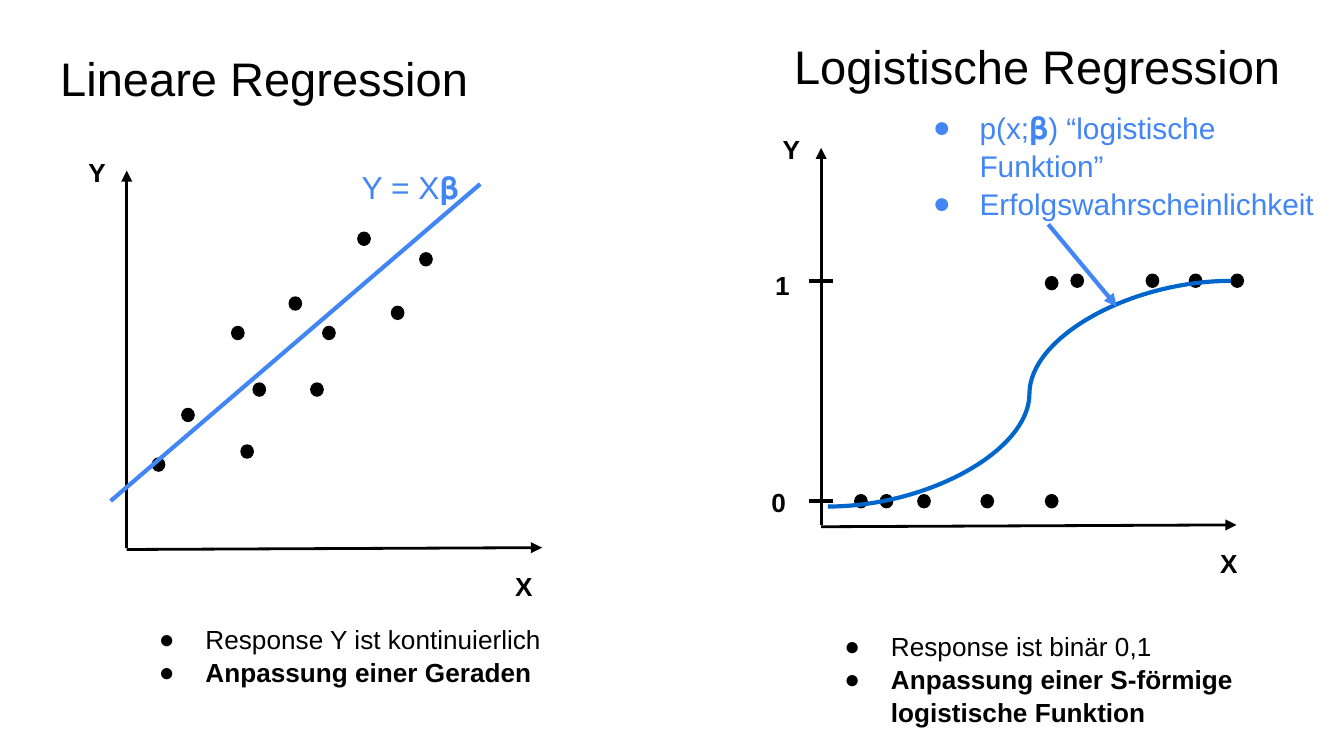
from lxml import etree
from pptx import Presentation
from pptx.dml.color import RGBColor
from pptx.enum.shapes import MSO_CONNECTOR, MSO_SHAPE
from pptx.enum.text import MSO_ANCHOR
from pptx.oxml.ns import qn
from pptx.util import Pt

STRAIGHT = MSO_CONNECTOR.STRAIGHT
CURVE = MSO_CONNECTOR.CURVE
DOT = MSO_SHAPE.FLOWCHART_CONNECTOR
BOTTOM = MSO_ANCHOR.BOTTOM

COLORS = {"ink": "000000", "accent": "4285F4", "curve": "0066CC"}
FONT = "Arial"
BETA = "𝛃"
LABEL_SIZE = (25.2, 31.7)
DOT_SIZE = (6.6, 7)
TICK_HALF = 6.5

LINEAR_POINTS = [
    (13.7, 154), (29.5, 127.4), (98.6, 113.8), (56.2, 83.5), (67.7, 113.8),
    (141.8, 72.7), (105, 83.5), (87, 67.7), (61.2, 147), (123.8, 33), (157, 44),
]
FAILURE_X = [18, 31.7, 51.8, 85.7, 120.2]
SUCCESS_POINTS = [(120.2, 69), (133.9, 67.7), (174.2, 67.7), (197.3, 67.7), (219.6, 67.7)]
FAILURE_Y = 185.8


def color(name):
    return RGBColor.from_string(COLORS[name])


def add_line(slide, start, end, ink="ink", width=1.5, arrow=False, kind=STRAIGHT):
    line = slide.shapes.add_connector(kind, *(Pt(v) for v in (*start, *end)))
    line.line.color.rgb = color(ink)
    line.line.width = Pt(width)
    if arrow:
        etree.SubElement(line.line._get_or_add_ln(), qn("a:tailEnd"), type="triangle")
    etree.SubElement(line._element.spPr, qn("a:effectLst"))


def add_bullet(paragraph, ink):
    props = paragraph._p.get_or_add_pPr()
    props.set("marL", str(Pt(36)))
    props.set("indent", str(-Pt(25)))
    bullet_color = etree.SubElement(props, qn("a:buClr"))
    etree.SubElement(bullet_color, qn("a:srgbClr"), val=COLORS[ink])
    etree.SubElement(props, qn("a:buFont"), typeface=FONT)
    etree.SubElement(props, qn("a:buChar"), char="●")


def add_text(slide, box, paragraphs, size, ink="ink", bullets=False, anchor=None):
    """Each paragraph is a list of (text, bold, size or None) runs."""
    frame = slide.shapes.add_textbox(*(Pt(v) for v in box)).text_frame
    frame.word_wrap = True
    frame.margin_left = frame.margin_right = Pt(7.2)
    frame.margin_top = frame.margin_bottom = Pt(7.2)
    if anchor is not None:
        frame.vertical_anchor = anchor
    for index, runs in enumerate(paragraphs):
        paragraph = frame.add_paragraph() if index else frame.paragraphs[0]
        if bullets:
            add_bullet(paragraph, ink)
        paragraph.line_spacing = 1.05
        for text, bold, run_size in runs:
            run = paragraph.add_run()
            run.text = text
            run.font.name = FONT
            run.font.size = Pt(run_size or size)
            run.font.bold = bold
            run.font.color.rgb = color(ink)


def add_title(slide, box, title):
    add_text(slide, box, [[(title, False, None)]], 25.2, anchor=BOTTOM)


def add_label(slide, left, top, label):
    add_text(slide, (left, top, *LABEL_SIZE), [[(label, True, None)]], 14)


def add_summary(slide, box, response, fit):
    add_text(slide, box, [[(response, False, None)], [(fit, True, None)]], 14, bullets=True)


def add_axes(slide, box, x_label_left):
    left, top, width, height = box
    bottom = top + height
    add_line(slide, (left, bottom), (left, top), arrow=True)
    add_line(slide, (left, bottom + 1), (left + width, bottom), arrow=True)
    add_label(slide, left + x_label_left, bottom + 4, "X")
    add_label(slide, left - 27.7, top - 15.5, "Y")


def add_points(slide, box, points):
    for x, y in points:
        dot = slide.shapes.add_shape(
            DOT, Pt(box[0] + x), Pt(box[1] + y), *(Pt(v) for v in DOT_SIZE))
        dot.shadow.inherit = False
        dot.fill.solid()
        dot.fill.fore_color.rgb = color("ink")
        dot.line.color.rgb = color("ink")
        dot.line.width = Pt(0.75)


def add_linear_plot(slide, box):
    left, top = box[:2]
    add_axes(slide, box, 201)
    add_points(slide, box, LINEAR_POINTS)
    add_line(slide, (left + 189.4, top + 7.2), (left - 8.6, top + 177), "accent", 2.25)
    equation = [("Y = X", False, None), (BETA, False, None)]
    add_text(slide, (left + 118.8, top - 10, 67, 35.3), [equation], 17, "accent")


def add_logistic_plot(slide, box):
    left, top = box[:2]
    add_axes(slide, box, 206.6)
    add_points(slide, box, [(x, FAILURE_Y) for x in FAILURE_X] + SUCCESS_POINTS)
    for label, tick_y, label_left, label_top in (("1", 71.3, -31.7, 57), ("0", 189.4, -33.8, 173.5)):
        add_line(slide, (left - TICK_HALF, top + tick_y), (left + TICK_HALF, top + tick_y), width=2.25)
        add_label(slide, left + label_left, top + label_top, label)
    add_line(slide, (left + 3.6, top + 192.2), (left + 219.6, top + 71.3), "curve", 2.25, kind=CURVE)
    callout = [
        [("p(x;", False, None), (BETA, False, 17), (") “logistische Funktion”", False, None)],
        [("Erfolgswahrscheinlichkeit", False, None)],
    ]
    add_text(slide, (left + 41.8, top - 29.5, 236.2, 74), callout, 16, "accent", bullets=True)
    add_line(slide, (left + 121.7, top + 41), (left + 158.4, top + 85), "accent", 2.25, arrow=True)


def main():
    deck = Presentation()
    deck.slide_width, deck.slide_height = Pt(720), Pt(405)
    slide = deck.slides.add_slide(deck.slide_layouts[6])

    add_title(slide, (25.2, 18.7, 283, 45.4), "Lineare Regression")
    add_linear_plot(slide, (67.9, 91.4, 222.5, 202))
    add_summary(slide, (67, 326.2, 313, 48.2),
                "Response Y ist kontinuierlich", "Anpassung einer Geraden")

    add_title(slide, (418.3, 12.2, 283, 45.4), "Logistische Regression")
    add_logistic_plot(slide, (439.9, 79.2, 222.5, 202))
    add_summary(slide, (434.2, 329.8, 274.3, 65.5),
                "Response ist binär 0,1", "Anpassung einer S-förmige logistische Funktion")
    deck.save("out.pptx")


if __name__ == "__main__":
    main()
